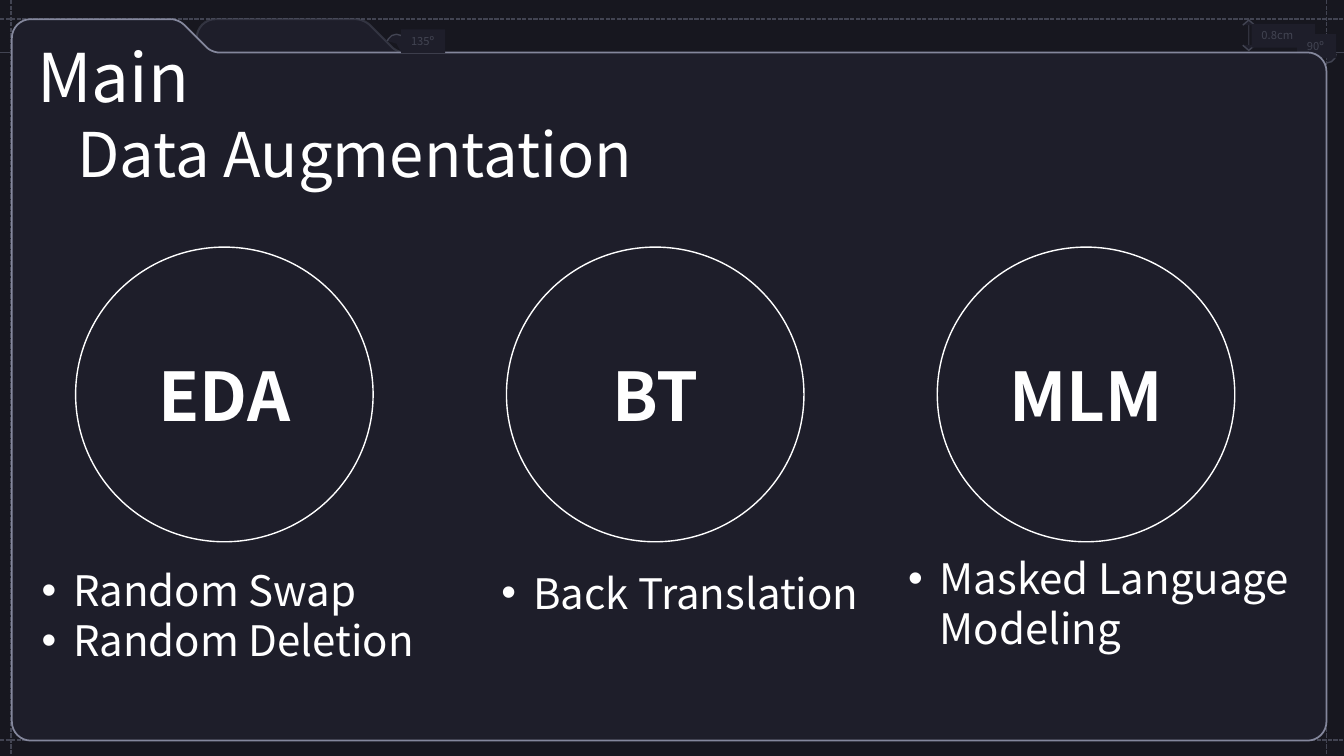
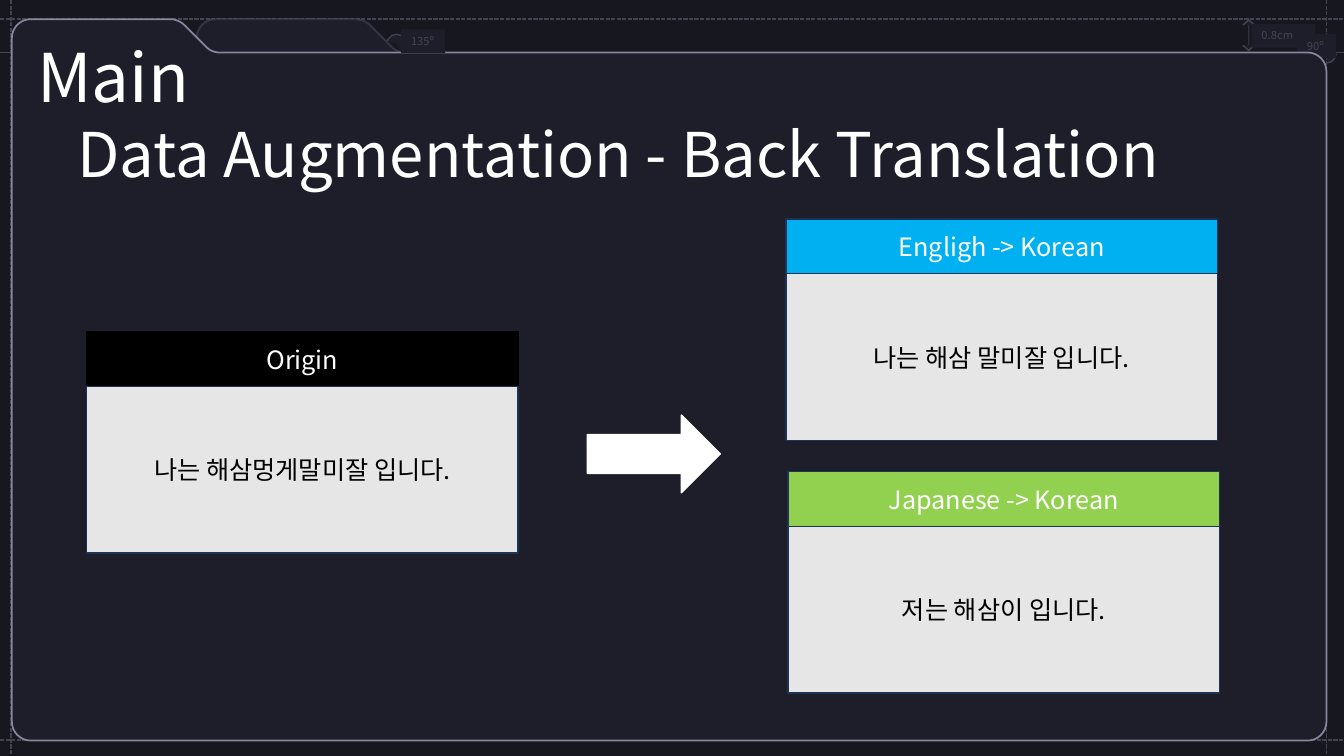
import pptx
import pptx.dml.color
import pptx.enum.dml
import pptx.enum.shapes
import pptx.enum.text
import pptx.oxml
import pptx.oxml.ns
import pptx.util

Pt = pptx.util.Pt
SHAPE = pptx.enum.shapes.MSO_SHAPE
ALIGN = pptx.enum.text.PP_ALIGN
ANCHOR = pptx.enum.text.MSO_ANCHOR

FONT = "Noto Sans CJK KR"
WIDTH, HEIGHT = 960, 540
BACKDROP, PANEL, PANEL_EDGE = "17171F", "1E1E2A", "84879C"
GUIDE, BACK_TAB_EDGE = "424452", "4D505F"
WHITE, BLACK, NAVY, GREY = "FFFFFF", "000000", "1E3256", "E7E6E6"
BLUE, GREEN = "00B0F0", "92D050"

LEFT, RIGHT, TOP, SHELF, BOTTOM = 8.5, 947.5, 13.7, 37.5, 529
CORNER = 13.5


def rgb(hex_color):
    return pptx.dml.color.RGBColor.from_string(hex_color)


def add_xml(parent, tag, **attributes):
    child = pptx.oxml.parse_xml(f"<{tag} {pptx.oxml.ns.nsdecls('a')}/>")
    for name, value in attributes.items():
        child.set(name, value)
    parent.append(child)
    return child


def rounded(corners, steps=8):
    """Turn (x, y, radius) corners into points, with each corner as a cubic curve."""
    points = []
    for i, (x, y, radius) in enumerate(corners):
        if not radius:
            points.append((x, y))
            continue
        ends = []
        for near_x, near_y, _ in (corners[i - 1], corners[(i + 1) % len(corners)]):
            share = radius / ((near_x - x) ** 2 + (near_y - y) ** 2) ** 0.5
            ends.append(((near_x - x) * share, (near_y - y) * share))
        (start_x, start_y), (end_x, end_y) = ends
        for step in range(steps + 1):
            t = step / steps
            start = (1 - t) ** 3 + 3 * 0.45 * t * (1 - t) ** 2
            end = t ** 3 + 3 * 0.45 * t ** 2 * (1 - t)
            points.append((x + start * start_x + end * end_x,
                           y + start * start_y + end * end_y))
    return points


class Deck:
    def __init__(self):
        self.prs = pptx.Presentation()
        self.prs.slide_width, self.prs.slide_height = Pt(WIDTH), Pt(HEIGHT)
        self.slide = None
        backdrop = self.prs.slide_master.background.fill
        backdrop.solid()
        backdrop.fore_color.rgb = rgb(BACKDROP)

    def new_slide(self, layout, title):
        self.slide = self.prs.slides.add_slide(
            self.prs.slide_layouts.get_by_name(layout))
        if len(self.prs.slides) == 1:
            self.frame()
        heading = self.slide.shapes.title
        self.place(heading, 48, 60.5, 828, 104.5)
        self.set_text(heading, [title], 44, anchor=ANCHOR.MIDDLE, line_spacing=0.9)
        self.textbox("Main", 19.5, 21.5, 135, 65.5, 48)

    def place(self, shape, left, top, width, height):
        shape.left, shape.top = Pt(left), Pt(top)
        shape.width, shape.height = Pt(width), Pt(height)

    def set_text(self, shape, lines, size, color=WHITE, bold=False, align=ALIGN.LEFT,
                 anchor=ANCHOR.TOP, line_spacing=None, bullet=False, wrap=True):
        frame = shape.text_frame
        frame.text = "\n".join(lines)
        frame.word_wrap = wrap
        frame.auto_size = pptx.enum.text.MSO_AUTO_SIZE.NONE
        frame.vertical_anchor = anchor
        for paragraph in frame.paragraphs:
            paragraph.alignment = align
            paragraph.space_before = Pt(0)
            if line_spacing:
                paragraph.line_spacing = line_spacing
            if bullet:
                properties = paragraph._p.get_or_add_pPr()
                properties.set("marL", str(Pt(22.5)))
                properties.set("indent", str(Pt(-22.5)))
                add_xml(properties, "a:buFont", typeface="Arial")
                add_xml(properties, "a:buChar", char="•")
            for run in paragraph.runs:
                font = run.font
                font.size, font.bold, font.name = Pt(size), bold, FONT
                font.color.rgb = rgb(color)
                add_xml(font._element, "a:ea", typeface=FONT)

    def paint(self, shape, fill, line=None, weight=1):
        shape.shadow.inherit = False
        if fill:
            shape.fill.solid()
            shape.fill.fore_color.rgb = rgb(fill)
        else:
            shape.fill.background()
        if line:
            self.stroke(shape.line, line, weight)
        else:
            shape.line.fill.background()

    def stroke(self, line, color, weight=1, opacity=None):
        line.color.rgb = rgb(color)
        line.width = Pt(weight)
        if opacity:
            tint = line.fill._xPr.find(".//" + pptx.oxml.ns.qn("a:srgbClr"))
            add_xml(tint, "a:alpha", val=str(opacity * 1000))

    def textbox(self, text, left, top, width, height, size, color=WHITE,
                fill=None, wrap=True):
        box = self.slide.shapes.add_textbox(Pt(left), Pt(top), Pt(width), Pt(height))
        if fill:
            self.paint(box, fill)
        self.set_text(box, [text], size, color, wrap=wrap)

    def shape(self, kind, left, top, width, height, fill, line):
        drawn = self.slide.shapes.add_shape(
            kind, Pt(left), Pt(top), Pt(width), Pt(height))
        self.paint(drawn, fill, line)
        return drawn

    def line(self, x1, y1, x2, y2, dashed=False, opacity=None):
        guide = self.slide.shapes.add_connector(
            pptx.enum.shapes.MSO_CONNECTOR.STRAIGHT, Pt(x1), Pt(y1), Pt(x2), Pt(y2))
        self.stroke(guide.line, GUIDE, opacity=opacity)
        if dashed:
            guide.line.dash_style = pptx.enum.dml.MSO_LINE.SQUARE_DOT
        add_xml(guide._element.spPr, "a:effectLst")

    def outline(self, points, fill, line, weight=1, closed=True):
        (start_x, start_y), *rest = [(Pt(x), Pt(y)) for x, y in points]
        builder = self.slide.shapes.build_freeform(start_x, start_y)
        builder.add_line_segments(rest, close=closed)
        drawn = builder.convert_to_shape()
        self.paint(drawn, fill, line, weight)
        return drawn

    def arc(self, left, top, start, end):
        drawn = self.shape(SHAPE.ARC, left, top, 13.5, 13.5, PANEL, GUIDE)
        drawn.adjustments[0], drawn.adjustments[1] = start, end

    def label(self, text, left, top, width, wrap=False):
        self.textbox(text, left, top, width, 17, 8, GUIDE, PANEL, wrap)

    def frame(self):
        """Draw the folder panel with its guides, then move it to the master."""
        self.line(0, TOP, WIDTH, TOP, dashed=True)
        self.line(8, 0, 8, HEIGHT, dashed=True)
        self.line(RIGHT, 0, RIGHT, HEIGHT, dashed=True)
        self.line(0, 528.5, WIDTH, 528.5, dashed=True)
        back_tab = self.outline(
            rounded([(140.5, TOP, CORNER), (260, TOP, 6), (283.8, SHELF, 5),
                     (294, SHELF, 0), (294, 57, 0), (140.5, 57, 0)]),
            PANEL, None)
        self.stroke(back_tab.line, BACK_TAB_EDGE, 1.5, opacity=48)
        self.line(0, SHELF, WIDTH, SHELF)
        self.line(892, TOP, 892, 36.5, opacity=61)
        for tip, base in ((14.3, 18), (36, 32.3)):
            self.outline([(887.7, base), (892, tip), (896.3, base)],
                         PANEL, GUIDE, closed=False)
        self.label("0.8cm", 894, 17, 45.5, wrap=True)
        self.arc(941, 31.5, 1.33, 53.74)
        self.label("90º", 926.5, 24.5, 28)
        self.outline(
            rounded([(LEFT, TOP, CORNER), (127.5, TOP, 5.5), (151.3, SHELF, 5),
                     (RIGHT, SHELF, CORNER), (RIGHT, BOTTOM, CORNER),
                     (LEFT, BOTTOM, CORNER)]),
            PANEL, PANEL_EDGE, 1.25)
        self.arc(276.5, 24.5, 117.94, 36.67)
        self.label("135º", 286.5, 21, 31.5)
        drawn = [part for part in self.slide.shapes if not part.is_placeholder]
        for number, part in enumerate(drawn, start=100):
            next(part.element.iter(pptx.oxml.ns.qn("p:cNvPr"))).set("id", str(number))
            self.prs.slide_master.shapes.element.append(part.element)

    def circle(self, text, left):
        drawn = self.shape(SHAPE.OVAL, left, 176.5, 212.5, 210.5, PANEL, WHITE)
        self.set_text(drawn, [text], 48, bold=True, align=ALIGN.CENTER,
                      anchor=ANCHOR.MIDDLE)

    def bullets(self, placeholder, lines, left, top, width):
        self.place(placeholder, left, top, width, 80)
        self.set_text(placeholder, lines, 30, bullet=True)

    def card(self, heading, sentence, left, top, color, edge=NAVY):
        for text, offset, height, fill, line, ink in (
                (heading, 0, 39, color, edge, WHITE),
                (sentence, 39, 119, GREY, NAVY, BLACK)):
            part = self.shape(SHAPE.RECTANGLE, left, top + offset, 308, height,
                              fill, line)
            self.set_text(part, [text], 18, ink, align=ALIGN.CENTER,
                          anchor=ANCHOR.MIDDLE)


def main():
    deck = Deck()

    deck.new_slide("Comparison", "Data Augmentation")
    methods = [
        ("EDA", ["Random Swap", "Random Deletion"], 22.5, 399.5, 290),
        ("BT", ["Back Translation"], 351, 401.5, 290),
        ("MLM", ["Masked Language Modeling"], 641.5, 391, 333),
    ]
    *lists, unused = list(deck.slide.placeholders)[1:]
    unused.element.getparent().remove(unused.element)
    for i, (name, lines, left, top, width) in enumerate(methods):
        deck.circle(name, 54 + i * 307.75)
        deck.bullets(lists[i], lines, left, top, width)

    deck.new_slide("Title Only", "Data Augmentation - Back Translation")
    deck.card("Origin", "나는 해삼멍게말미잘 입니다.", 62, 237, BLACK, BLACK)
    deck.card("Engligh -> Korean", "나는 해삼 말미잘 입니다.", 561.5, 156.5, BLUE)
    deck.card("Japanese -> Korean", "저는 해삼이 입니다.", 563, 337, GREEN)
    deck.shape(SHAPE.RIGHT_ARROW, 419.5, 296.5, 95, 55.5, WHITE, WHITE)

    deck.prs.save("out.pptx")


if __name__ == "__main__":
    main()
